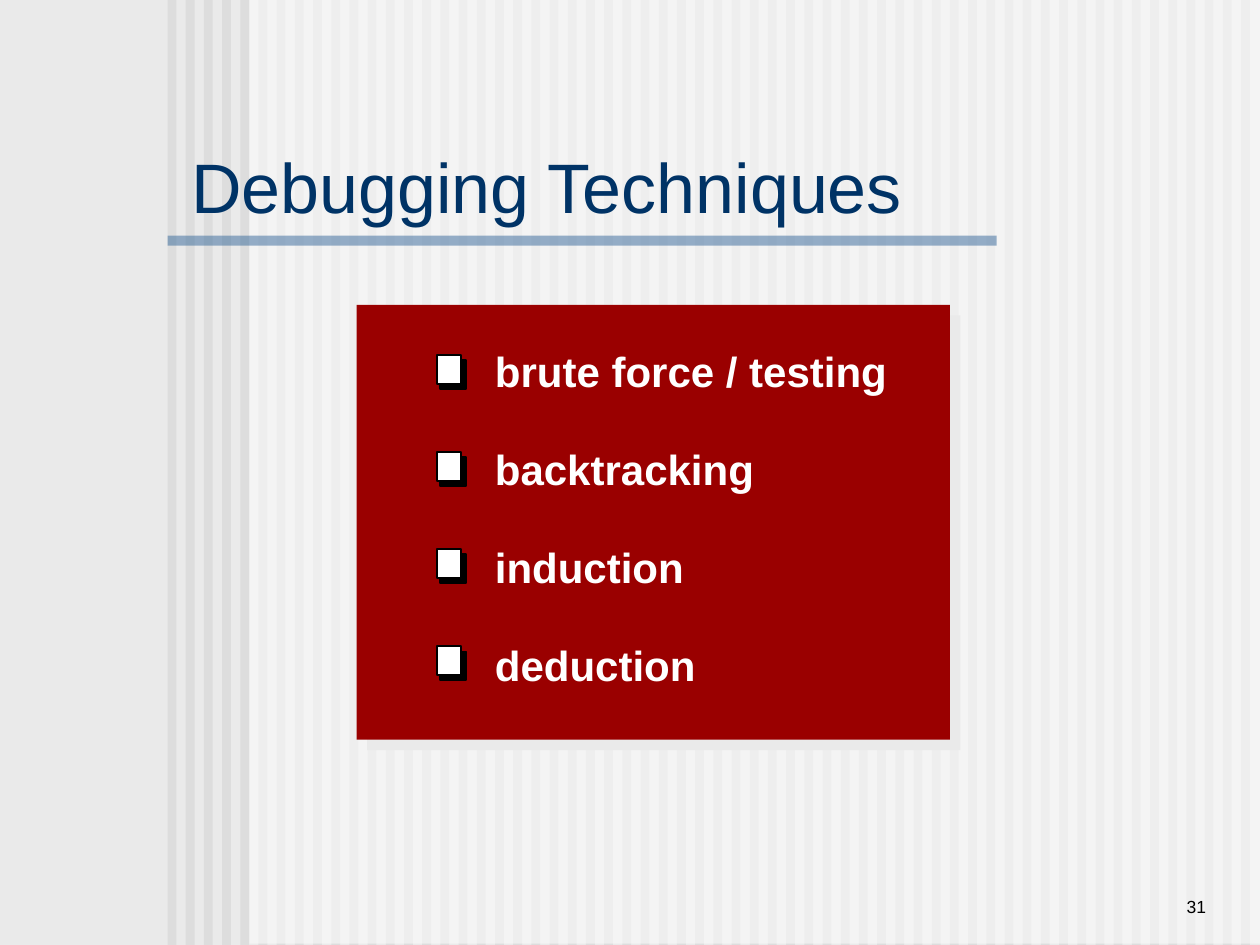
from dataclasses import dataclass

from lxml import etree
from pptx import Presentation
from pptx import util as u
from pptx.dml.color import RGBColor
from pptx.enum import shapes, text
from pptx.oxml.ns import qn


@dataclass(frozen=True)
class Theme:
    font: str = "Arial"
    background: str = "EAEAEA"
    stripe: str = "DDDDDD"
    white: str = "FFFFFF"
    black: str = "000000"
    rule: str = "336699"
    panel: str = "9A0000"
    title: str = "003366"
    title_size: int = 40
    item_size: int = 24
    number_size: int = 10


class SlideBuilder:
    def __init__(self, slide, theme):
        self.slide = slide
        self.theme = theme

    def background(self):
        fill = self.slide.background.fill
        fill.solid()
        fill.fore_color.rgb = RGBColor.from_string(self.theme.background)

    def group(self):
        return self.slide.shapes.add_group_shape()

    def rect(self, box, color, parent=None, alpha=None, line=None):
        """Add a rectangle; alpha is the opacity in percent."""
        owner = parent or self.slide
        sp = owner.shapes.add_shape(shapes.MSO_SHAPE.RECTANGLE, *map(u.Inches, box))
        sp.shadow.inherit = False
        sp.fill.solid()
        sp.fill.fore_color.rgb = RGBColor.from_string(color)
        if alpha is not None:
            clr = sp.fill._xPr.find(qn("a:solidFill"))[0]
            etree.SubElement(clr, qn("a:alpha"), val=str(alpha * 1000))
        if line:
            sp.line.color.rgb = RGBColor.from_string(line)
            sp.line.width = u.Pt(1)
        else:
            sp.line.fill.background()
        return sp

    def drop_shadow(self, sp, color, distance, angle):
        effects = sp._element.spPr.find(qn("a:effectLst"))
        shadow = etree.SubElement(
            effects, qn("a:outerShdw"), dist=str(u.Pt(distance)),
            dir=str(angle * 60000), algn="ctr", rotWithShape="0")
        etree.SubElement(shadow, qn("a:srgbClr"), val=color)

    def label(self, box, words, size, color, bold=False, wrap=True,
              anchor=text.MSO_ANCHOR.TOP, align=text.PP_ALIGN.LEFT):
        tf = self.slide.shapes.add_textbox(*map(u.Inches, box)).text_frame
        tf.word_wrap = wrap
        tf.vertical_anchor = anchor
        tf.text = words
        p = tf.paragraphs[0]
        p.alignment = align
        font = p.runs[0].font
        font.name = self.theme.font
        font.size = u.Pt(size)
        font.bold = bold
        font.color.rgb = RGBColor.from_string(color)

    def checkbox(self, left, top):
        """Add a white square over an offset black one."""
        t = self.theme
        grp = self.group()
        self.rect((left + 0.02, top + 0.04, 0.21, 0.23), t.black, grp, line=t.black)
        self.rect((left, top, 0.19, 0.23), t.white, grp, line=t.black)


def main():
    prs = Presentation()
    prs.slide_width, prs.slide_height = u.Inches(10), u.Inches(7.5)
    theme = Theme()
    s = SlideBuilder(prs.slides.add_slide(prs.slide_layouts[6]), theme)

    s.background()
    backdrop = s.group()
    first, last, count = 1.33, 9.85, 60
    pitch = (last - first) / (count - 1)
    for i in range(count):
        s.rect((first + i * pitch, 0, 0.07, 7.5), theme.stripe, backdrop)
    s.rect((1.98, -0.01, 8.02, 7.5), theme.white, backdrop, alpha=50)
    s.rect((first, 1.87, 6.58, 0.08), theme.rule, backdrop, alpha=50)

    panel = s.rect((2.83, 2.42, 4.71, 3.45), theme.panel)
    s.drop_shadow(panel, theme.background, 8.5, 45)

    s.label((1.42, 1.17, 6.33, 0.61), "Debugging Techniques", theme.title_size,
            theme.title, anchor=text.MSO_ANCHOR.MIDDLE)

    techniques = [("brute force / testing", 3.35, 0.9), ("backtracking", 2.3, 0.9),
                  ("induction", 1.75, 0.9), ("deduction", 1.85, 0.5)]
    for i, (words, width, height) in enumerate(techniques):
        s.label((3.83, 2.69 + i * 0.78, width, height), words, theme.item_size,
                theme.white, bold=True, wrap=False)
        s.checkbox(3.47, 2.82 + i * 0.77)

    s.label((8.25, 6.83, 1.42, 0.5), "31", theme.number_size, theme.black,
            anchor=text.MSO_ANCHOR.BOTTOM, align=text.PP_ALIGN.RIGHT)

    prs.save("out.pptx")


if __name__ == "__main__":
    main()
